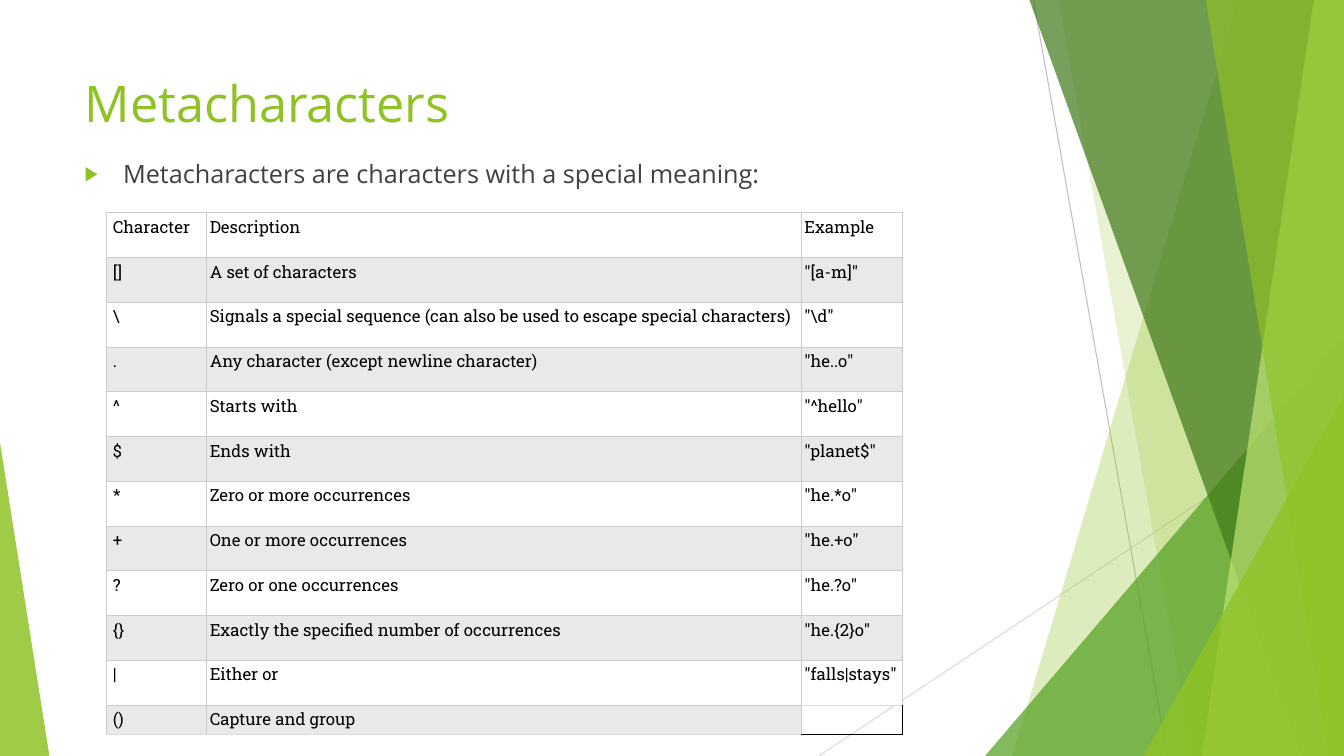
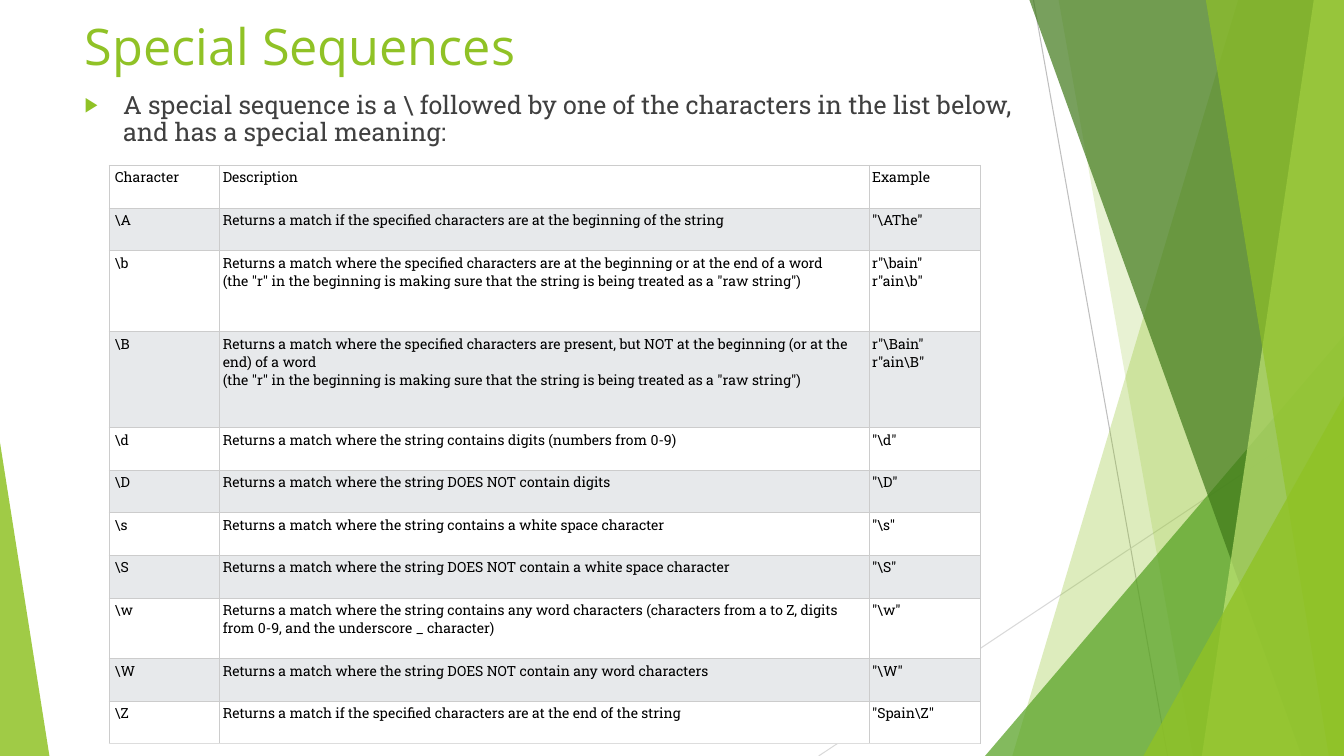
"""Build two slides on regular expressions: metacharacters and special sequences."""
from lxml.etree import SubElement
from pptx import Presentation
from pptx.dml.color import RGBColor
from pptx.enum.shapes import MSO_CONNECTOR, MSO_SHAPE
from pptx.enum.text import MSO_ANCHOR, MSO_AUTO_SIZE, PP_ALIGN
from pptx.oxml.ns import qn
from pptx.util import Inches, Pt

W, H = 13.33, 7.5
GREEN, INK, BLACK = "90C226", "404040", "000000"
WHITE, STRIPE, RULE, LAST_RULE = "FFFFFF", "E7E9EB", "CCCCCC", "DDDDDD"
SANS, SLAB = "Open Sans", "Roboto Slab"
LEFT, TEXT_W = 0.74, 9.4


def paint(fill, colour, alpha=100):
    """Give a fill a solid colour, see-through when alpha is below 100."""
    fill.solid()
    fill.fore_color.rgb = RGBColor.from_string(colour)
    if alpha < 100:
        clr = fill._xPr.find(".//" + qn("a:srgbClr"))
        SubElement(clr, qn("a:alpha"), val=str(alpha * 1000))


def write(tf, text, size=18, font=SANS, colour=INK, spacing=1.0, before=0):
    """Write one left-aligned paragraph and return it."""
    tf.word_wrap = True
    p = tf.paragraphs[0]
    p.text = text
    p.alignment = PP_ALIGN.LEFT
    p.line_spacing, p.space_before = spacing, Pt(before)
    for r in p.runs:
        r.font.size, r.font.name, r.font.bold = Pt(size), font, False
        paint(r.font.fill, colour)
    if not text:
        SubElement(p._p, qn("a:endParaRPr"), sz=str(size * 100))
    return p


prs = Presentation()
prs.slide_width, prs.slide_height = Inches(W), Inches(H)
layout = prs.slide_layouts[1]

pages = [
    dict(
        title="Metacharacters", title_box=(0.67, 1.44), body_box=(1.52, 5.08),
        lead="Metacharacters are characters with a special meaning:",
        lead_font=SANS, spacing=1.0, size=12, inset=0.07,
        table=(1.05, 2.11, 7.9, 5.18), cols=[1, 5.89, 1],
        heights=[0.44] * 11 + [0.29],
        rows=[
            ("Character", "Description", "Example"),
            ("[]", "A set of characters", '"[a-m]"'),
            ("\\", "Signals a special sequence (can also be used to escape "
                   "special characters)", r'"\d"'),
            (".", "Any character (except newline character)", '"he..o"'),
            ("^", "Starts with", '"^hello"'),
            ("$", "Ends with", '"planet$"'),
            ("*", "Zero or more occurrences", '"he.*o"'),
            ("+", "One or more occurrences", '"he.+o"'),
            ("?", "Zero or one occurrences", '"he.?o"'),
            ("{}", "Exactly the specified number of occurrences", '"he.{2}o"'),
            ("|", "Either or", '"falls|stays"'),
            ("()", "Capture and group", ""),
        ]),
    dict(
        title="Special Sequences", title_box=(0.1, 0.77), body_box=(0.87, 5.74),
        lead="A special sequence is a \\ followed by one of the characters in "
             "the list below, and has a special meaning:",
        lead_font=SLAB, spacing=0.9, size=10, inset=0.06,
        table=(1.08, 1.64, 8.64, 5.74), cols=[1.1, 6.44, 1.1],
        heights=[0.42, 0.42, 0.8, 0.95] + [0.42] * 4 + [0.6, 0.42, 0.42],
        rows=[
            ("Character", "Description", "Example"),
            (r"\A", "Returns a match if the specified characters are at the "
                    "beginning of the string", r'"\AThe"'),
            (r"\b", "Returns a match where the specified characters are at the "
                    "beginning or at the end of a word\n"
                    '(the "r" in the beginning is making sure that the string '
                    'is being treated as a "raw string")',
             'r"\\bain"\nr"ain\\b"'),
            (r"\B", "Returns a match where the specified characters are present, "
                    "but NOT at the beginning (or at the end) of a word\n"
                    '(the "r" in the beginning is making sure that the string '
                    'is being treated as a "raw string")',
             'r"\\Bain"\nr"ain\\B"'),
            (r"\d", "Returns a match where the string contains digits "
                    "(numbers from 0-9)", r'"\d"'),
            (r"\D", "Returns a match where the string DOES NOT contain digits",
             r'"\D"'),
            (r"\s", "Returns a match where the string contains a white space "
                    "character", r'"\s"'),
            (r"\S", "Returns a match where the string DOES NOT contain a white "
                    "space character", r'"\S"'),
            (r"\w", "Returns a match where the string contains any word "
                    "characters (characters from a to Z, digits from 0-9, and "
                    "the underscore _ character)", r'"\w"'),
            (r"\W", "Returns a match where the string DOES NOT contain any word "
                    "characters", r'"\W"'),
            (r"\Z", "Returns a match if the specified characters are at the end "
                    "of the string", r'"Spain\Z"'),
        ]),
]
slides = [prs.slides.add_slide(layout) for page in pages]

shapes = slides[0].shapes
backdrop = []
for x1, y1, x2, y2, colour in [(10.25, 0, 11.58, H, "BFBFBF"),
                               (W, 4.03, 8.12, H, "D9D9D9")]:
    line = shapes.add_connector(MSO_CONNECTOR.STRAIGHT, Inches(x1), Inches(y1),
                                Inches(x2), Inches(y2))
    line.line.width = Pt(0.75)
    paint(line.line.fill, colour)
    SubElement(line._element.spPr, qn("a:effectLst"))
    backdrop.append(line)

# Two numbers: top and bottom x of a slab. Four: left, top, width, apex of a triangle.
panes = [
    ((12.28, 10.04), GREEN, 30),
    ((10.5, 11.83), GREEN, 20),
    ((9.77, 3.33, 3.56, 1), "54A021", 72),
    ((10.21, 12.91), "3F7819", 70),
    ((13.03, 11.92), "C0E474", 70),
    ((11.96, 13.18), GREEN, 65),
    ((11.34, 3.93, 1.99, 1), GREEN, 80),
    ((0, 4.39, 0.49, 0), GREEN, 85),
]
for geometry, colour, alpha in panes:
    if len(geometry) == 2:
        top_x, bottom_x = geometry
        outline = shapes.build_freeform(Inches(top_x), 0)
        outline.add_line_segments([(Inches(W), 0), (Inches(W), Inches(H)),
                                   (Inches(bottom_x), Inches(H))])
        sp = outline.convert_to_shape()
    else:
        x, y, w, apex = geometry
        sp = shapes.add_shape(MSO_SHAPE.ISOSCELES_TRIANGLE, Inches(x), Inches(y),
                              Inches(w), Inches(H - y))
        sp.adjustments[0] = apex
    paint(sp.fill, colour, alpha)
    sp.line.fill.background()
    sp.shadow.inherit = False
    backdrop.append(sp)

master_tree = prs.slide_master.shapes._spTree
for i, sp in enumerate(backdrop):
    sp._element.xpath(".//p:cNvPr")[0].set("id", str(20 + i))
    master_tree.insert(2 + i, sp._element)

for s, page in zip(slides, pages):
    title, body = s.placeholders
    for sp, (top, height) in [(title, page["title_box"]), (body, page["body_box"])]:
        sp.left, sp.top = Inches(LEFT), Inches(top)
        sp.width, sp.height = Inches(TEXT_W), Inches(height)
        sp.text_frame.vertical_anchor = MSO_ANCHOR.TOP
        sp.text_frame.auto_size = MSO_AUTO_SIZE.NONE
    write(title.text_frame, page["title"], size=36, colour=GREEN)
    p = write(body.text_frame, page["lead"], font=page["lead_font"],
              spacing=page["spacing"], before=10)
    pPr = p._p.get_or_add_pPr()
    pPr.set("marL", str(Inches(0.38)))
    pPr.set("indent", str(-Inches(0.38)))
    SubElement(SubElement(pPr, qn("a:buClr")), qn("a:srgbClr"), val=GREEN)
    SubElement(pPr, qn("a:buSzPct"), val="80000")
    SubElement(pPr, qn("a:buChar"), char="▶")

    rows, cols, heights = page["rows"], page["cols"], page["heights"]
    x, y, w, h = page["table"]
    table = s.shapes.add_table(len(rows), len(cols), Inches(x), Inches(y),
                               Inches(w), Inches(h)).table
    table.first_row = table.horz_banding = False
    for column, share in zip(table.columns, cols):
        column.width = Inches(w * share / sum(cols))
    for row, share in zip(table.rows, heights):
        row.height = Inches(h * share / sum(heights))

    for i, row in enumerate(rows):
        for j, text in enumerate(row):
            cell = table.cell(i, j)
            cell.margin_left = Inches(0.03 if j else page["inset"])
            cell.margin_right = cell.margin_top = cell.margin_bottom = Inches(0.03)
            write(cell.text_frame, text, page["size"], SLAB, BLACK)
            edges = dict(L=RULE, R=RULE, T=RULE, B=RULE)
            if i == len(rows) - 1:
                edges["B"] = LAST_RULE
            if not text:
                edges.update(R=BLACK, T=LAST_RULE, B=BLACK)
            elif i + 1 < len(rows) and not rows[i + 1][j]:
                edges["B"] = LAST_RULE
            for side, colour in edges.items():
                ln = SubElement(cell._tc.get_or_add_tcPr(), qn("a:ln" + side),
                                w=str(Pt(0.6)))
                SubElement(SubElement(ln, qn("a:solidFill")), qn("a:srgbClr"),
                           val=colour)
            if text:
                paint(cell.fill, STRIPE if i % 2 else WHITE)
            else:
                cell.fill.background()

prs.save("out.pptx")
